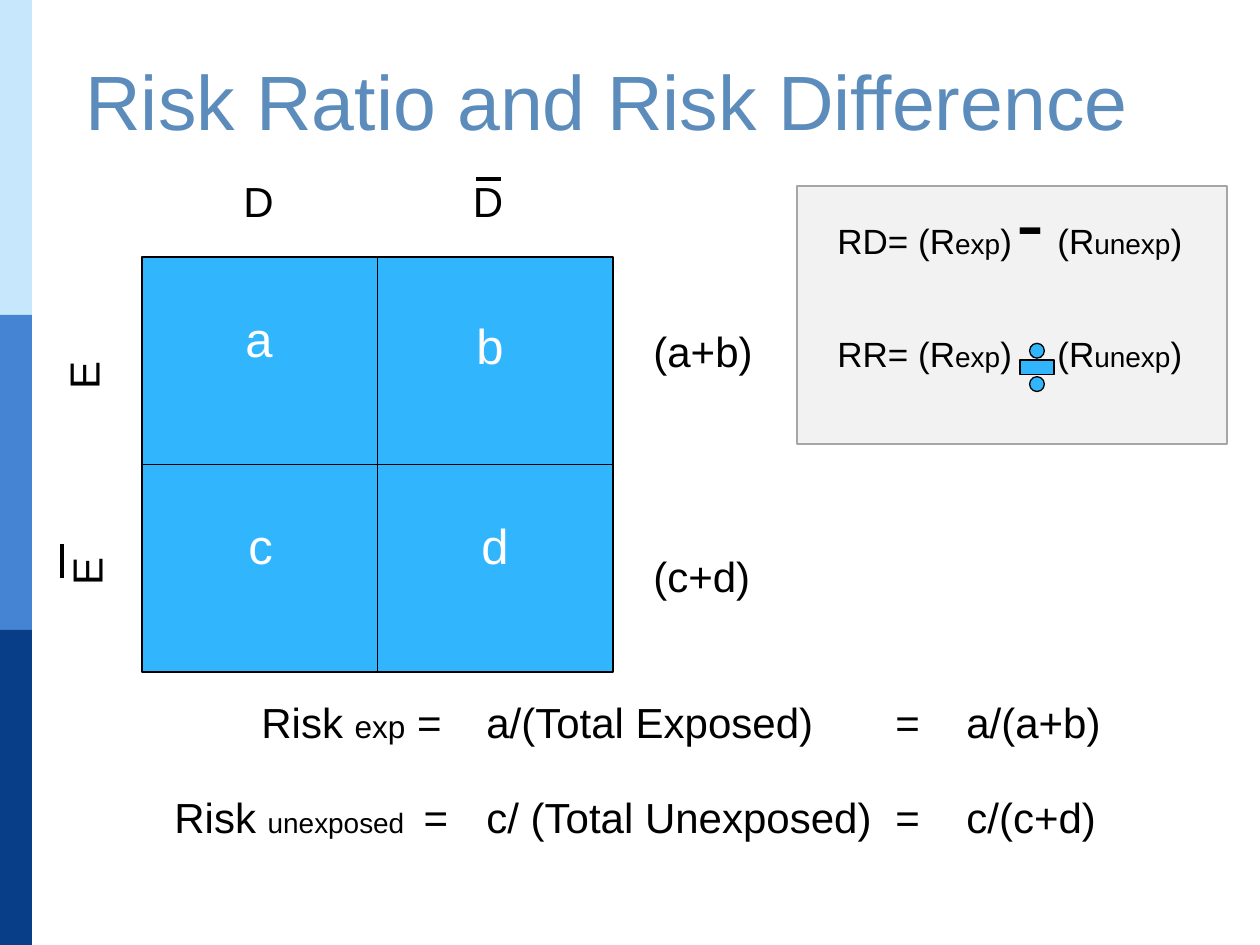
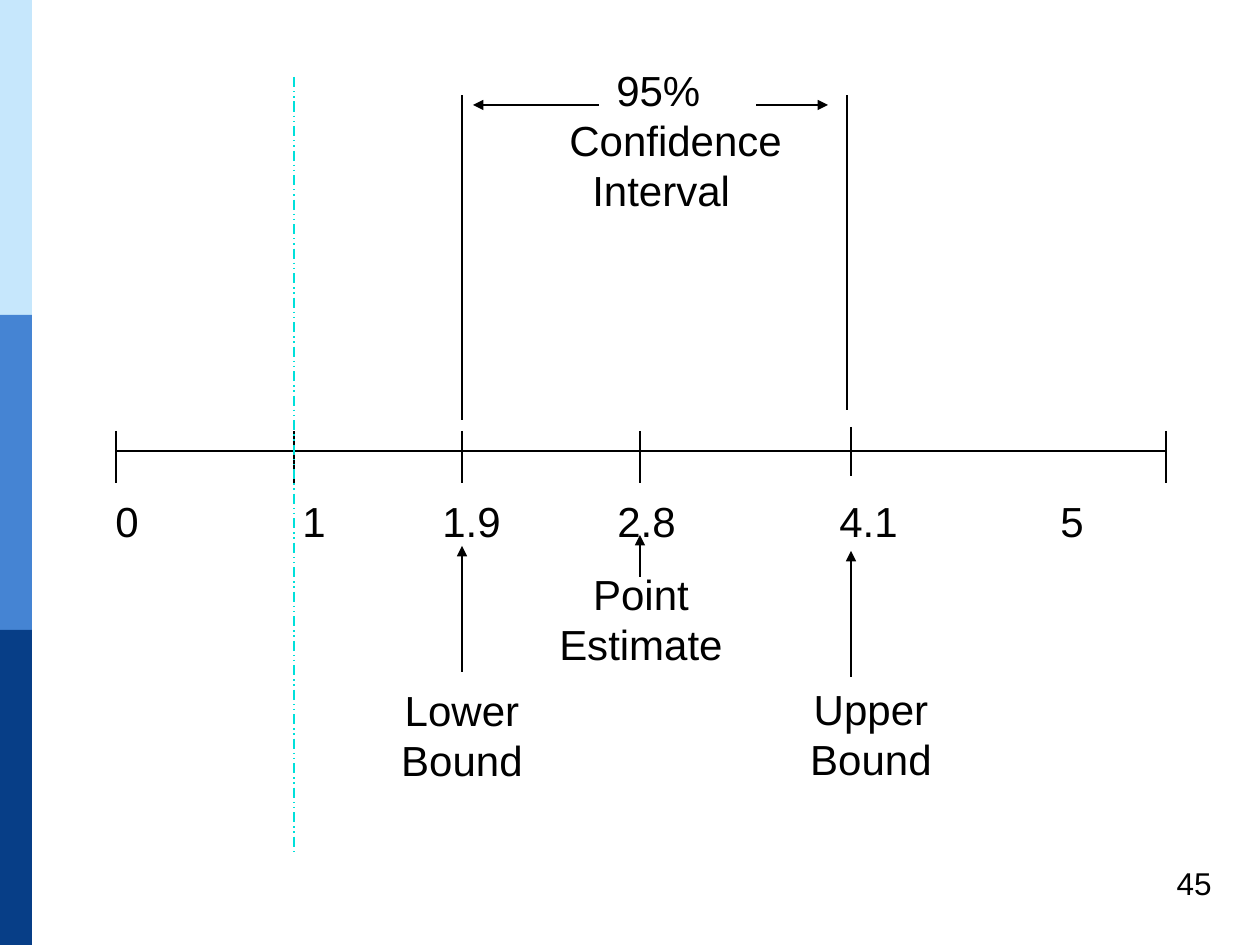
from dataclasses import dataclass

from lxml import etree
from pptx import Presentation
from pptx.dml.color import RGBColor
from pptx.enum.dml import MSO_LINE
from pptx.enum.shapes import MSO_CONNECTOR, MSO_SHAPE
from pptx.enum.text import PP_ALIGN
from pptx.oxml.ns import qn
from pptx.util import Pt

RECT, DIVIDE = MSO_SHAPE.RECTANGLE, MSO_SHAPE.MATH_DIVIDE
STRAIGHT = MSO_CONNECTOR.STRAIGHT
LEFT, CENTER, RIGHT = PP_ALIGN.LEFT, PP_ALIGN.CENTER, PP_ALIGN.RIGHT
LONG_DASH_DOTS = MSO_LINE.DASH_DOT_DOT

PIXELS_PER_INCH = 126
SLIDE_W, SLIDE_H = 1260, 945
INSET = 13  # default left margin inside a text box


@dataclass(frozen=True)
class Theme:
    font: str = "Arial"
    bands: tuple = ("C6E7FC", "4584D3", "073E87")
    title: str = "5C8CBB"
    ink: str = "000000"
    white: str = "FFFFFF"
    accent: str = "31B6FD"
    panel: str = "F2F2F2"
    panel_edge: str = "A6A6A6"
    null_line: str = "00E0DB"
    title_size: int = 44
    minus_size: int = 48
    cell_size: int = 28
    body_size: int = 24
    measure_size: int = 20
    small_size: int = 18
    subscript_size: int = 16
    thin: float = 0.75
    grid: float = 1
    bar: float = 2.25


THEME = Theme()


def px(length):
    return round(length * 914400 / PIXELS_PER_INCH)


def add_block(slide, box, fill, edge=None, width=THEME.thin, kind=RECT):
    """Filled preset shape, outlined when an edge colour is given."""
    block = slide.shapes.add_shape(kind, *map(px, box))
    block.shadow.inherit = False
    block.fill.solid()
    block.fill.fore_color.rgb = RGBColor.from_string(fill)
    if edge:
        block.line.color.rgb = RGBColor.from_string(edge)
        block.line.width = Pt(width)
    else:
        block.line.fill.background()


def add_line(slide, start, end, color=THEME.ink, width=THEME.thin,
             arrow=False, dash=None):
    """Straight line, with an optional arrowhead at its end."""
    line = slide.shapes.add_connector(STRAIGHT, *map(px, (*start, *end)))
    line.line.color.rgb = RGBColor.from_string(color)
    line.line.width = Pt(width)
    if dash:
        line.line.dash_style = dash
    if arrow:
        outline = line.line._get_or_add_ln()
        etree.SubElement(outline, qn("a:tailEnd"), type="triangle")
    etree.SubElement(line._element.spPr, qn("a:effectLst"))


def add_text(slide, box, paragraphs, size=THEME.body_size, color=THEME.ink,
             align=LEFT, rotation=0, tabs=(), indents=()):
    """Text box; a paragraph is a string or a list of (text, size) runs."""
    label = slide.shapes.add_textbox(*map(px, box))
    label.rotation = rotation
    frame = label.text_frame
    frame.word_wrap = True
    for index, runs in enumerate(paragraphs):
        paragraph = frame.paragraphs[0] if index == 0 else frame.add_paragraph()
        paragraph.alignment = align
        properties = paragraph._p.get_or_add_pPr()
        if indents:
            properties.set("marL", str(px(indents[index])))
        if tabs:
            stops = etree.SubElement(properties, qn("a:tabLst"))
            for stop in tabs:
                etree.SubElement(stops, qn("a:tab"), pos=str(px(stop)), algn="l")
        if isinstance(runs, str):
            runs = [(runs, size)]
        for text, run_size in runs:
            run = paragraph.add_run()
            run.text = text
            run.font.name = THEME.font
            run.font.size = Pt(run_size)
            run.font.color.rgb = RGBColor.from_string(color)


def add_slide(deck):
    """Blank slide with the three bands at the left edge."""
    slide = deck.slides.add_slide(deck.slide_layouts[6])
    band_h = SLIDE_H // len(THEME.bands)
    for index, color in enumerate(THEME.bands):
        add_block(slide, (0, index * band_h, 32, band_h), color)
    return slide


def add_two_by_two(slide):
    """Exposure by disease grid with its headings and row totals."""
    left, top, width, height = 142, 257, 471, 415
    middle_x, middle_y = left + width / 2, top + height / 2
    add_block(slide, (left, top, width, height), THEME.accent, THEME.ink, THEME.grid)
    add_line(slide, (middle_x, top), (middle_x, top + height), width=THEME.grid)
    add_line(slide, (left, middle_y), (left + width, middle_y), width=THEME.grid)

    for letter, x, y in (("a", 233, 302), ("b", 464, 309),
                         ("c", 236, 509), ("d", 469, 509)):
        add_text(slide, (x, y, 60, 72), [letter], THEME.cell_size, THEME.white)
    for total, y in (("(a+b)", 319), ("(c+d)", 544)):
        add_text(slide, (641, y, 130, 63), [total])

    # Headings; a bar marks the absence of disease or exposure
    add_text(slide, (231, 169, 74, 63), ["D"])
    add_text(slide, (447, 169, 82, 63), ["D"], align=CENTER)
    add_line(slide, (476, 179), (501, 179), width=THEME.bar)
    add_text(slide, (43, 330, 80, 63), ["E"], rotation=270)
    add_text(slide, (50, 530, 72, 63), ["E"], rotation=270)
    add_line(slide, (62, 578), (62, 544), width=THEME.bar)


def add_risk_formulas(slide):
    """Two formulas whose parts share the same columns."""
    columns = (487, 896, 967)
    formulas = (
        (249, 690, "exp", THEME.small_size, " =\ta/(Total Exposed)\t=\ta/(a+b)"),
        (162, 785, "unexposed ", THEME.subscript_size,
         " =\tc/ (Total Unexposed)\t=\tc/(c+d)"),
    )
    for left, top, group, group_size, formula in formulas:
        runs = [("Risk ", THEME.body_size), (group, group_size),
                (formula, THEME.body_size)]
        add_text(slide, (left, top, 960, 63), [runs],
                 tabs=[column - left - INSET for column in columns])


def add_measures_panel(slide):
    """Panel defining the risk difference and the risk ratio."""
    add_block(slide, (797, 186, 430, 258), THEME.panel, THEME.panel_edge)
    add_text(slide, (1004, 163, 60, 115), ["-"], THEME.minus_size)
    for measure, top in (("RD", 213), ("RR", 326)):
        for x, width, opening, group in ((825, 204, measure + "= (R", "exp"),
                                         (1045, 160, "(R", "unexp")):
            add_text(slide, (x, top, width, 55), [[
                (opening, THEME.measure_size),
                (group, THEME.subscript_size),
                (")", THEME.measure_size)]])
    add_block(slide, (1014, 336, 46, 63), THEME.accent, THEME.ink, kind=DIVIDE)


def build_risk_slide(deck):
    slide = add_slide(deck)
    add_two_by_two(slide)
    add_risk_formulas(slide)
    add_measures_panel(slide)
    add_text(slide, (73, 47, 1170, 106), ["Risk Ratio and Risk Difference"],
             THEME.title_size, THEME.title)


def build_interval_slide(deck):
    slide = add_slide(deck)
    start, null, lower, estimate, upper, end = 116, 294, 462, 640, 851, 1166
    axis_y = 451

    # Number line with ticks and values
    add_line(slide, (start, axis_y), (end, axis_y))
    for x in (start, null, lower, estimate, end):
        add_line(slide, (x, 431), (x, 483))
    add_line(slide, (upper, 427), (upper, 476))
    add_text(slide, (103, 489, 1023, 63), ["0\t1\t1.9\t2.8\t4.1\t5"],
             tabs=(187, 327, 502, 724, 945))

    # Confidence interval
    add_line(slide, (lower, 420), (lower, 95))
    add_line(slide, (847, 410), (847, 95))
    add_text(slide, (557, 58, 250, 165), ["95%", "Confidence", "Interval"],
             indents=(47, 0, 23))
    add_line(slide, (599, 105), (473, 105), arrow=True)
    add_line(slide, (756, 105), (828, 105), arrow=True)

    # Labels below the line, with arrows up to their values
    for words, center, top in ((["Point", "Estimate"], 641, 562),
                               (["Lower", "Bound"], 462, 678),
                               (["Upper", "Bound"], 871, 677)):
        add_text(slide, (center - 100, top, 200, 115), words, align=CENTER)
    for x, tail, tip in ((estimate, 577, 535), (lower, 672, 546), (upper, 677, 551)):
        add_line(slide, (x, tail), (x, tip), arrow=True)

    # Page number and line of no effect
    add_text(slide, (930, 858, 294, 50), ["45"], THEME.small_size, align=RIGHT)
    add_line(slide, (null, 77), (null, 852), THEME.null_line, dash=LONG_DASH_DOTS)


def main():
    deck = Presentation()
    deck.slide_width, deck.slide_height = px(SLIDE_W), px(SLIDE_H)
    build_risk_slide(deck)
    build_interval_slide(deck)
    deck.save("out.pptx")


main()
